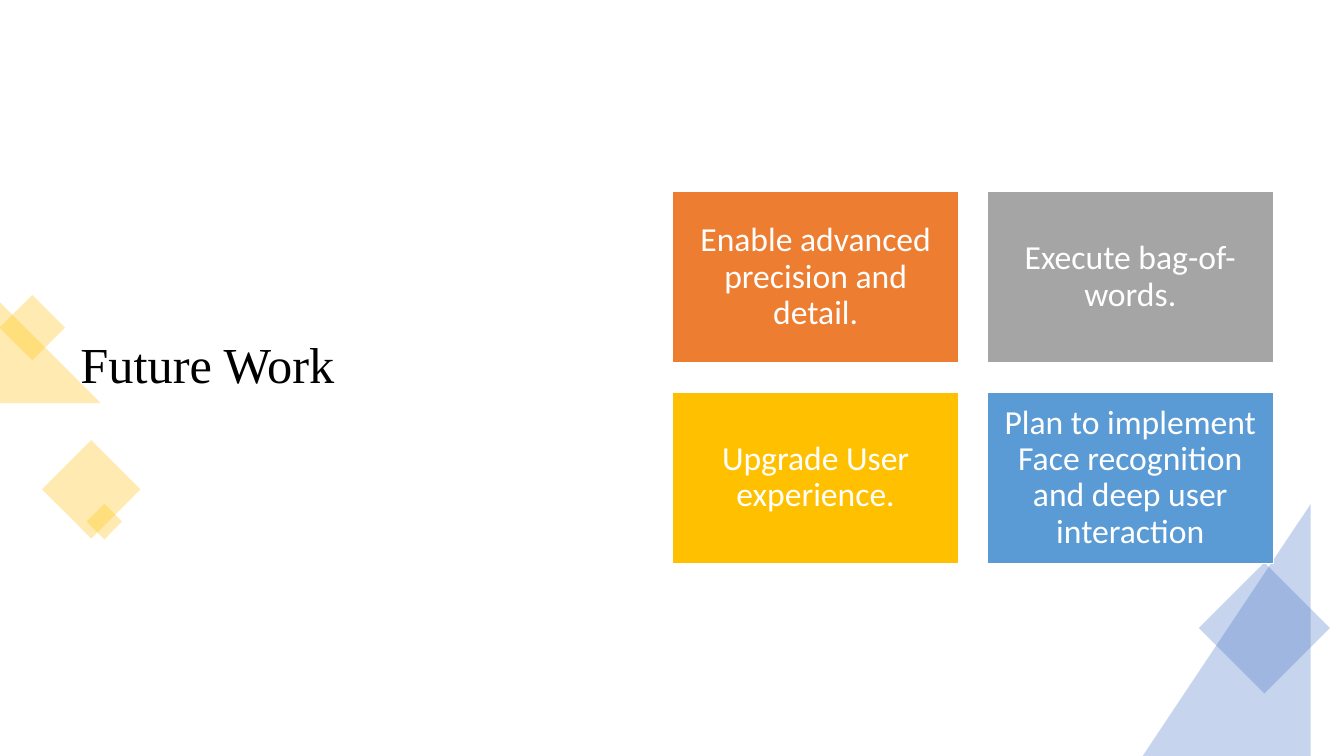
"""Build the Future Work slide: a title, a two-by-two grid of cards and corner diamonds."""
from lxml.etree import SubElement
from pptx import Presentation
from pptx.dml.color import RGBColor
from pptx.enum.shapes import MSO_SHAPE as Shape
from pptx.enum.text import MSO_ANCHOR as Anchor, PP_ALIGN as Align
from pptx.oxml.ns import qn
from pptx.util import Inches, Pt

WIDTH, HEIGHT = 13.33, 7.5
GOLD, BLUE, WHITE, BLACK = "FFC000", "4472C4", "FFFFFF", "000000"

TITLE = "Future Work"
CARDS = [
    ("Enable advanced precision and detail.", "ED7D31"),
    ("Execute bag-of-words.", "A5A5A5"),
    ("Upgrade User experience.", GOLD),
    ("Plan to implement Face recognition and deep user interaction", "5B9BD5"),
]
COLUMNS = 2
GRID_LEFT, GRID_TOP = 6.67, 1.9
CARD_WIDTH, CARD_HEIGHT, GAP = 2.84, 1.7, 0.29
COLUMN_STEP, ROW_STEP = CARD_WIDTH + GAP - 0.01, CARD_HEIGHT + GAP

TRIANGLES = [
    ([(0, 2.9), (0.73, 3.64), (0, 4.38)], GOLD),
    ([(WIDTH, 5.2), (WIDTH, HEIGHT), (WIDTH - 2.3, HEIGHT)], BLUE),
]
DIAMONDS = [
    (0.09, 3.02, 0.46, GOLD),
    (0.56, 4.51, 0.69, GOLD),
    (0.91, 5.05, 0.25, GOLD),
    (12.08, 5.77, 0.92, BLUE),
]


def color(value):
    return RGBColor.from_string(value)


def paint(shape, value, opacity=100):
    shape.shadow.inherit = False
    shape.fill.solid()
    shape.fill.fore_color.rgb = color(value)
    shape.line.fill.background()
    if opacity < 100:
        tint = shape.fill._xPr.find(qn("a:solidFill"))[0]
        SubElement(tint, qn("a:alpha")).set("val", str(opacity * 1000))


def write(box, text, font, size, value, align):
    frame = box.text_frame
    frame.word_wrap = True
    frame.vertical_anchor = Anchor.MIDDLE
    frame.margin_left = frame.margin_right = Inches(0.1)
    frame.text = text
    para = frame.paragraphs[0]
    para.alignment = align
    para.line_spacing = 0.9
    span = para.runs[0]
    span.font.name = font
    span.font.size = Pt(size)
    span.font.color.rgb = color(value)


def add_triangle(page, corners, value):
    builder = page.shapes.build_freeform(*corners[0], scale=Inches(1))
    builder.add_line_segments(corners[1:], close=True)
    paint(builder.convert_to_shape(), value, 30)


def add_diamond(page, left, top, side, value):
    diamond = page.shapes.add_shape(
        Shape.RECTANGLE, Inches(left), Inches(top), Inches(side), Inches(side))
    diamond.rotation = 45
    paint(diamond, value, 30)


def add_card(page, index, text, value):
    row, column = divmod(index, COLUMNS)
    card = page.shapes.add_shape(
        Shape.RECTANGLE,
        Inches(GRID_LEFT + column * COLUMN_STEP), Inches(GRID_TOP + row * ROW_STEP),
        Inches(CARD_WIDTH), Inches(CARD_HEIGHT))
    paint(card, value)
    card.line.color.rgb = color(WHITE)
    card.line.width = Pt(1)
    write(card, text, "Calibri", 24, WHITE, Align.CENTER)


deck = Presentation()
deck.slide_width, deck.slide_height = Inches(WIDTH), Inches(HEIGHT)
page = deck.slides.add_slide(deck.slide_layouts[6])

title = page.shapes.add_textbox(Inches(0.7), Inches(0.68), Inches(5.46), Inches(5.92))
write(title, TITLE, "Times New Roman", 36, BLACK, Align.LEFT)
for triangle in TRIANGLES:
    add_triangle(page, *triangle)
for diamond in DIAMONDS:
    add_diamond(page, *diamond)
for index, card in enumerate(CARDS):
    add_card(page, index, *card)

deck.save("out.pptx")
